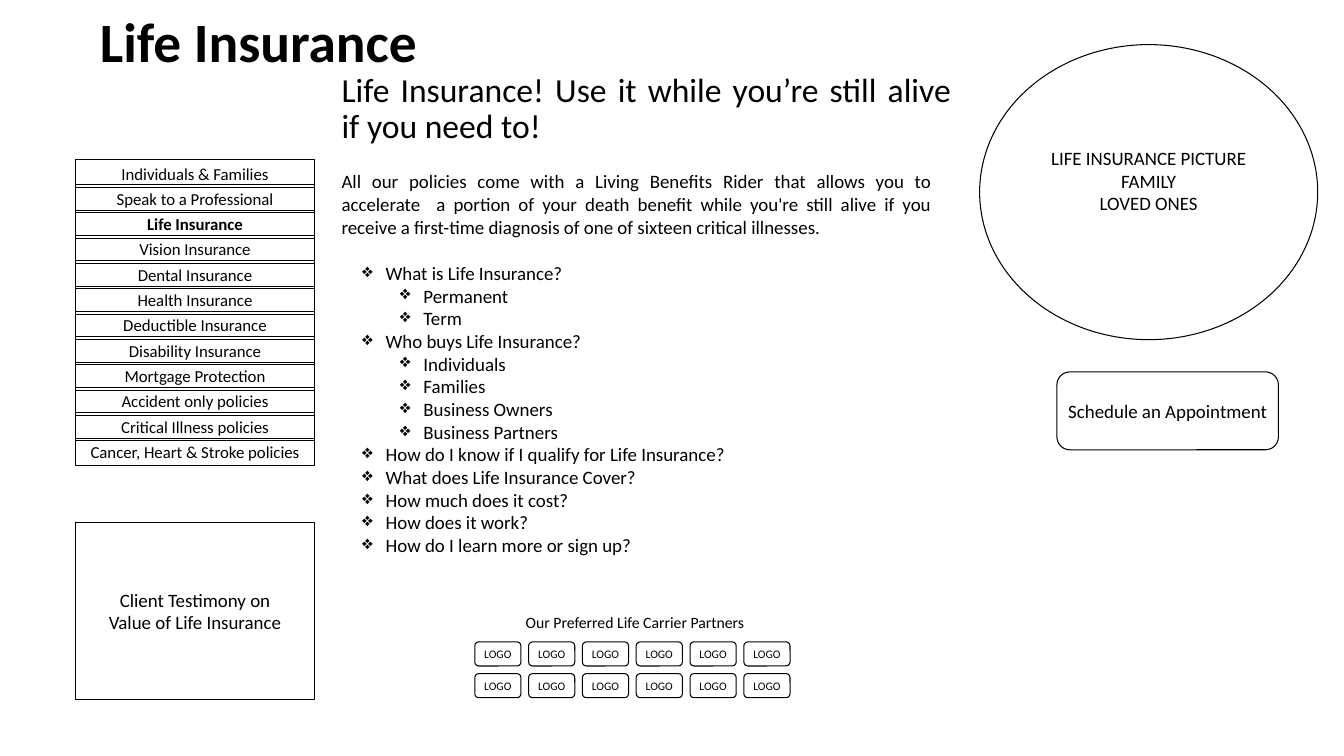
import dataclasses
import lxml.etree
import pptx
import pptx.dml.color
import pptx.enum.shapes
import pptx.enum.text
import pptx.oxml.ns
import pptx.util

Pt = pptx.util.Pt
Kind = pptx.enum.shapes.MSO_SHAPE
Align = pptx.enum.text.PP_ALIGN
Anchor = pptx.enum.text.MSO_ANCHOR


@dataclasses.dataclass
class Theme:
    font: str = "Calibri"
    ink: pptx.dml.color.RGBColor = pptx.dml.color.RGBColor(0, 0, 0)
    title: float = 52.8
    lead: float = 32
    body: float = 18
    menu: float = 16
    label: float = 15
    logo: float = 11


theme = Theme()


def write(shape, text, size, align=Align.CENTER, anchor=Anchor.MIDDLE, bold=False):
    frame = shape.text_frame
    frame.word_wrap = True
    frame.vertical_anchor = anchor
    frame.text = text
    for para in frame.paragraphs:
        para.alignment = align
        for run in para.runs:
            run.font.name = theme.font
            run.font.size = Pt(size)
            run.font.bold = bold
            run.font.color.rgb = theme.ink
    return frame


def frame_box(shapes, kind, left, top, width, height, line=1):
    box = shapes.add_shape(kind, Pt(left), Pt(top), Pt(width), Pt(height))
    box.shadow.inherit = False
    box.fill.background()
    box.line.color.rgb = theme.ink
    box.line.width = Pt(line)
    return box


deck = pptx.Presentation()
deck.slide_width, deck.slide_height = Pt(1280), Pt(720)
slide = deck.slides.add_slide(deck.slide_layouts[5])
shapes = slide.shapes

# Title
title = shapes.title
title.left, title.top, title.width, title.height = Pt(88), Pt(8.6), Pt(1104), Pt(67)
frame = write(title, "Life Insurance", theme.title, Align.LEFT, bold=True)
frame.paragraphs[0].line_spacing = 0.9

# Menu on the left
menu = ["Individuals & Families", "Speak to a Professional", "Life Insurance",
        "Vision Insurance", "Dental Insurance", "Health Insurance",
        "Deductible Insurance", "Disability Insurance", "Mortgage Protection",
        "Accident only policies", "Critical Illness policies",
        "Cancer, Heart & Stroke policies"]
group = shapes.add_group_shape()
for row, name in enumerate(menu):
    box = frame_box(group.shapes, Kind.RECTANGLE, 72, 152 + 24.1 * row, 227.5, 26.6, 0.75)
    write(box, name, theme.menu, anchor=Anchor.TOP, bold=name == "Life Insurance")

# Lead and opening text
lead = shapes.add_textbox(Pt(318.2), Pt(66.2), Pt(595.4), Pt(108))
frame = write(lead, "Life Insurance! Use it while you’re still alive if you need to!",
              theme.lead, Align.JUSTIFY, Anchor.TOP)
frame.paragraphs[0].line_spacing = 0.9
intro = shapes.add_textbox(Pt(318.2), Pt(158.4), Pt(576), Pt(72.7))
write(intro, "All our policies come with a Living Benefits Rider that allows you to "
      "accelerate  a portion of your death benefit while you're still alive if you "
      "receive a first-time diagnosis of one of sixteen critical illnesses.",
      theme.body, Align.JUSTIFY, Anchor.TOP)

# Bulleted topics
topics = [(0, "What is Life Insurance?"), (1, "Permanent"), (1, "Term"),
          (0, "Who buys Life Insurance?"), (1, "Individuals"), (1, "Families"),
          (1, "Business Owners"), (1, "Business Partners"),
          (0, "How do I know if I qualify for Life Insurance?"),
          (0, "What does Life Insurance Cover?"), (0, "How much does it cost?"),
          (0, "How does it work?"), (0, "How do I learn more or sign up?")]
plan = shapes.add_textbox(Pt(337.7), Pt(245.5), Pt(497.5), Pt(291))
frame = write(plan, "\n".join(text for level, text in topics), theme.body,
              Align.LEFT, Anchor.TOP)
for para, (level, text) in zip(frame.paragraphs, topics):
    para.level = level
    props = para._p.get_or_add_pPr()
    props.set("marL", str(Pt(22.5 + 36 * level)))
    props.set("indent", str(Pt(-22.5)))
    mark = lxml.etree.SubElement(props, pptx.oxml.ns.qn("a:buChar"))
    mark.set("char", "❖")

# Picture holder, its text raised by one line
oval = frame_box(shapes, Kind.OVAL, 933, 42.5, 322, 281)
frame = write(oval, "LIFE INSURANCE PICTURE\nFAMILY\nLOVED ONES", theme.body)
frame.margin_bottom = Pt(25.6)

# Button and client quote
button = frame_box(shapes, Kind.ROUNDED_RECTANGLE, 1006.6, 354.2, 211, 74.2)
write(button, "Schedule an Appointment", theme.body)
quote = frame_box(shapes, Kind.RECTANGLE, 72, 497.5, 227.5, 168.5)
write(quote, "Client Testimony on\nValue of Life Insurance", theme.body)

# Partner logos
label = shapes.add_textbox(Pt(482.4), Pt(573.1), Pt(244.8), Pt(38.2))
write(label, "Our Preferred Life Carrier Partners", theme.label)
group = shapes.add_group_shape()
for row in range(2):
    for col in range(6):
        box = frame_box(group.shapes, Kind.ROUNDED_RECTANGLE,
                        452.2 + 51.25 * col, 611.3 + 30.2 * row, 44, 23)
        frame = write(box, "LOGO", theme.logo)
        frame.margin_left = frame.margin_right = 0

deck.save("out.pptx")
